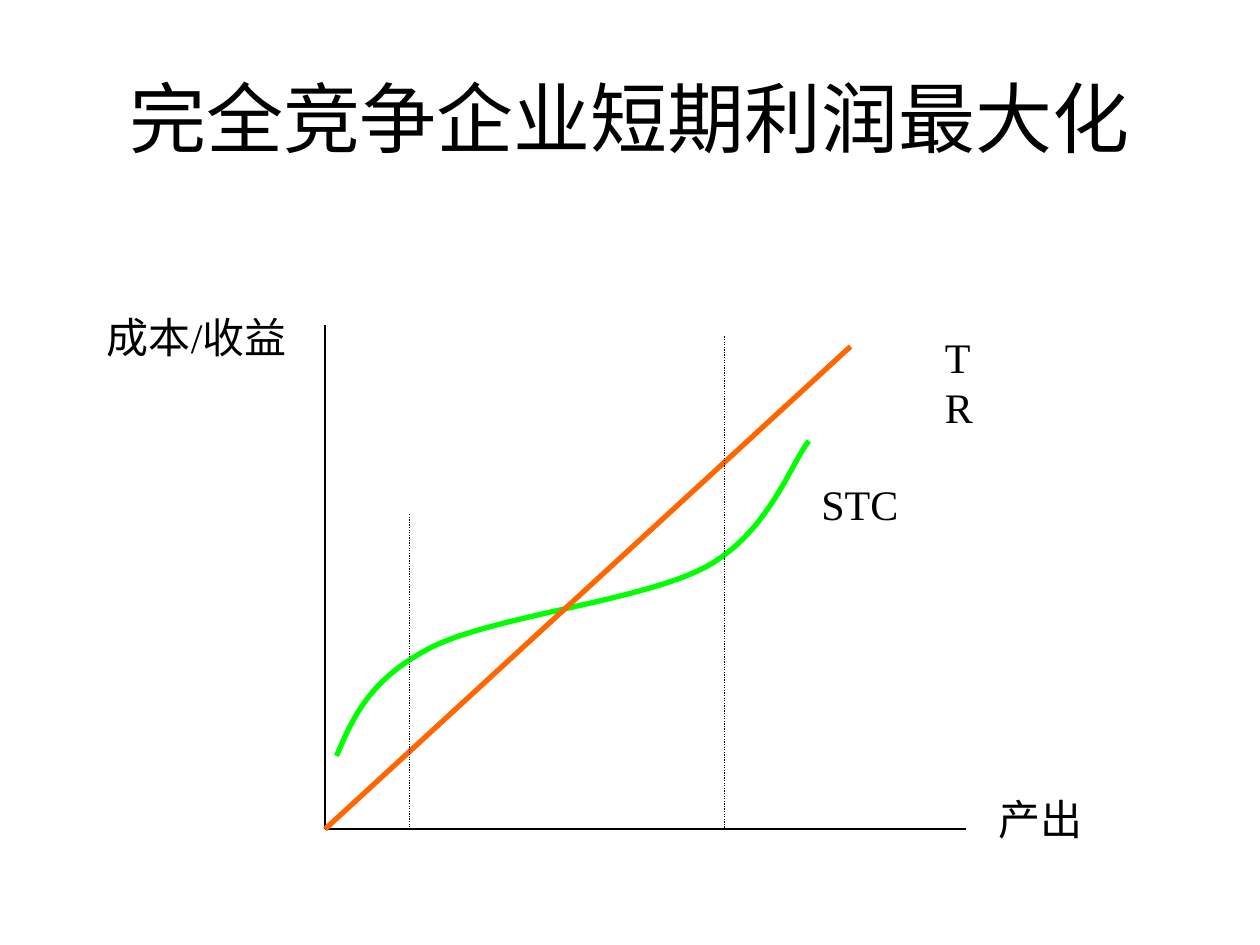
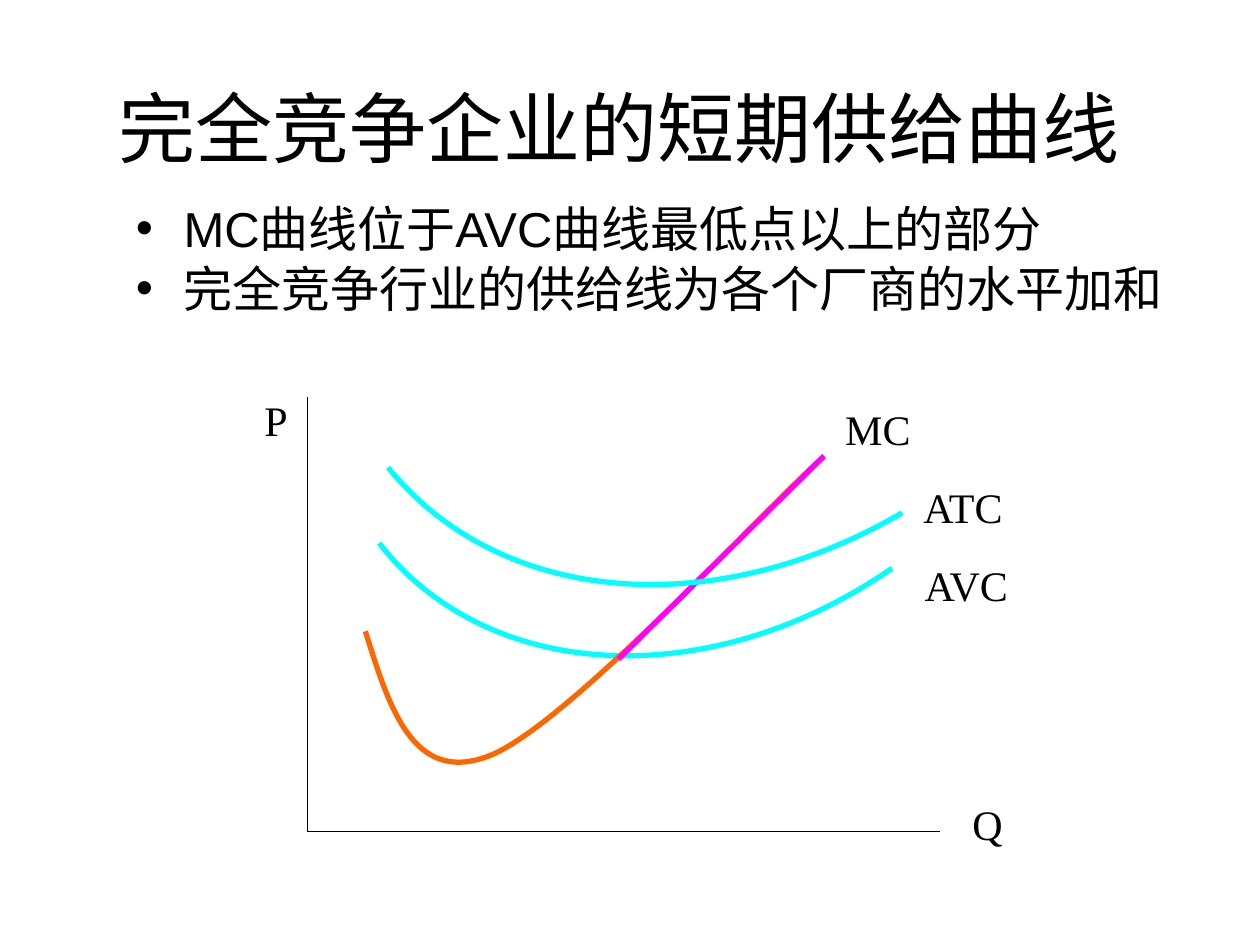
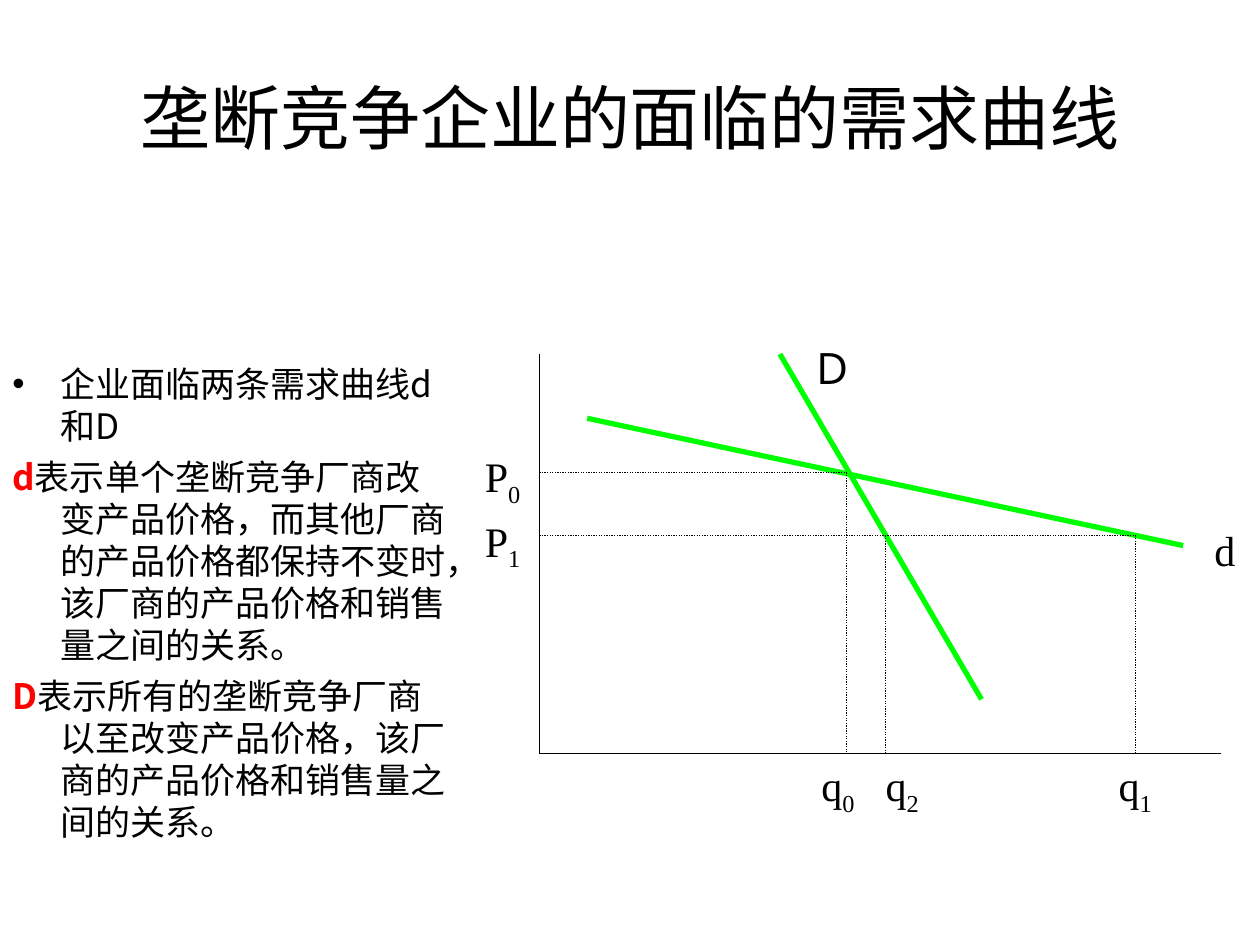
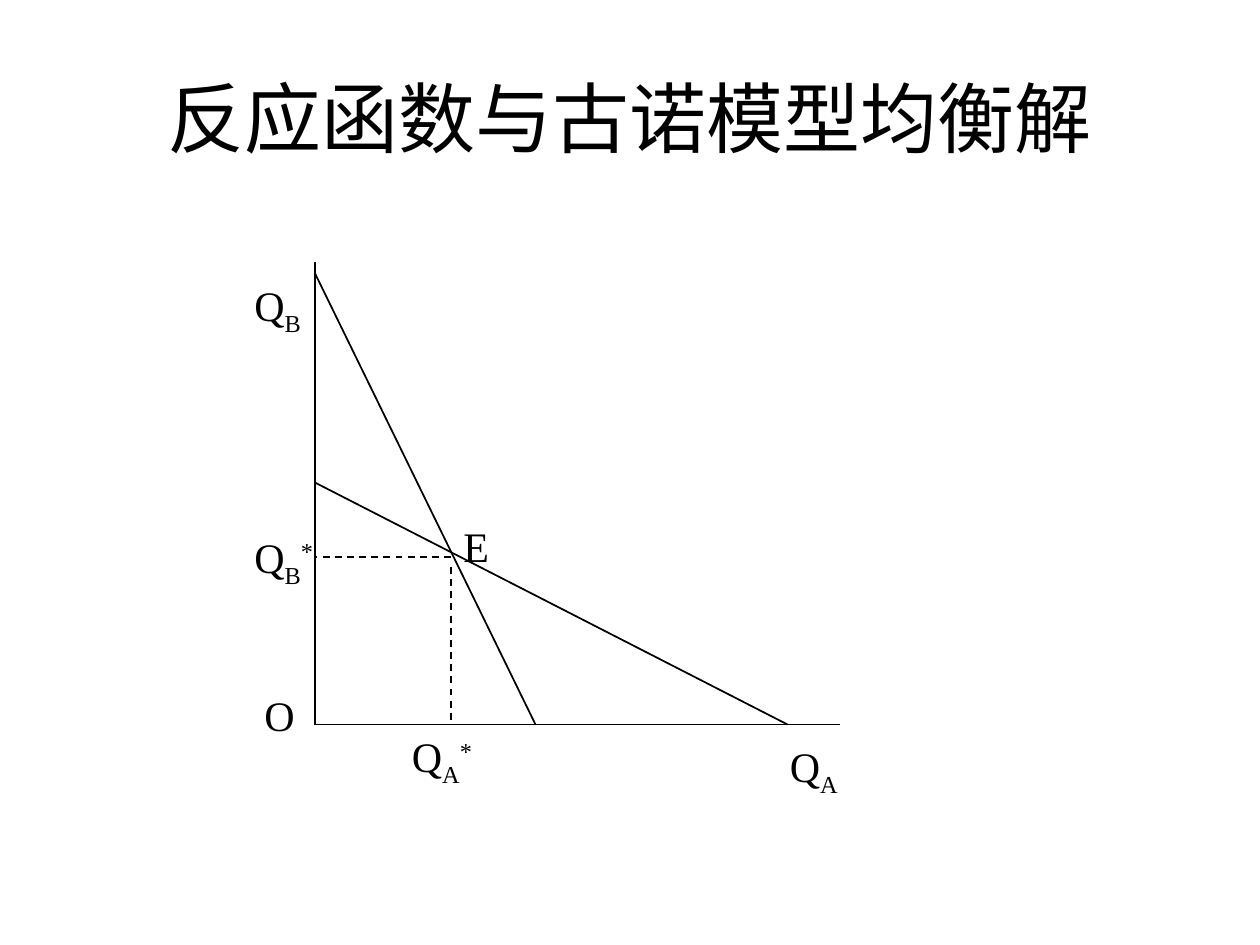
from lxml import etree
from pptx import Presentation
from pptx.dml.color import RGBColor
from pptx.enum import dml, shapes, text
from pptx.oxml import ns
from pptx.util import Inches, Pt

BLACK, RED = "000000", "FF0000"
GREEN, ORANGE, CYAN, PINK = "00FF00", "FF6600", "00FFFF", "FF00FF"
SANS, SERIF, HAN = "Arial", "Times New Roman", "Noto Sans CJK SC"
DOT, DASH = dml.MSO_LINE.ROUND_DOT, dml.MSO_LINE.DASH


def paint(code):
    return RGBColor.from_string(code)


def sub(parent, tag, **attrs):
    return etree.SubElement(parent, ns.qn(tag), attrs)


class Deck:
    """Holds the shared style and the slide being filled."""

    def __init__(self):
        self.file = Presentation()
        self.file.slide_width, self.file.slide_height = Inches(10), Inches(7.5)

    def page(self, title, size=44, at=(0.5, 0.3, 9, 1.25)):
        self.slide = self.file.slides.add_slide(self.file.slide_layouts[5])
        head = self.slide.shapes.title
        head.left, head.top, head.width, head.height = map(Inches, at)
        frame = head.text_frame
        frame.vertical_anchor = text.MSO_ANCHOR.MIDDLE
        frame.auto_size = text.MSO_AUTO_SIZE.NONE
        para = frame.paragraphs[0]
        para.alignment = text.PP_ALIGN.CENTER
        self.run(para, title, size, SANS)

    def run(self, para, words, size, face, color=BLACK, bold=False, base=0):
        """Add one run; base is the raised or lowered share in percent."""
        run = para.add_run()
        run.text = words
        font = run.font
        font.size, font.name, font.bold = Pt(size), face, bold
        font.color.rgb = paint(color)
        props = run._r.get_or_add_rPr()
        sub(props, "a:ea", typeface=HAN)
        if base:
            props.set("baseline", str(base * 1000))

    def frame(self, x, y, wide, high, wrap=True):
        box = self.slide.shapes.add_textbox(*map(Inches, (x, y, wide, high)))
        box.text_frame.word_wrap = wrap
        return box.text_frame

    def label(self, x, y, wide, words, low="", high="", wrap=True):
        """Write a curve or axis label with an optional index and star."""
        frame = self.frame(x, y, wide, 0.56 if low else 0.5, wrap)
        frame.auto_size = text.MSO_AUTO_SIZE.SHAPE_TO_FIT_TEXT
        for part, base in ((words, 0), (low, -25), (high, 30)):
            if part:
                self.run(frame.paragraphs[0], part, 24, SERIF, base=base)

    def body(self, at, size, items, gap, pitch=None):
        """Write hanging paragraphs; items are (bulleted, runs) pairs."""
        frame = self.frame(*at)
        for i, (dot, runs) in enumerate(items):
            para = frame.add_paragraph() if i else frame.paragraphs[0]
            props = para._p.get_or_add_pPr()
            props.set("marL", str(Inches(0.38)))
            props.set("indent", str(Inches(-0.38)))
            if dot:
                sub(sub(props, "a:buClr"), "a:srgbClr", val=BLACK)
                sub(props, "a:buFont", typeface=SANS)
                sub(props, "a:buChar", char="•")
            if pitch:
                para.line_spacing = pitch
            if i:
                para.space_before = Pt(gap)
            for words, face, color in runs:
                self.run(para, words, size, face, color, color == RED)

    def line(self, start, end, color=BLACK, width=0.75, dash=None):
        line = self.slide.shapes.add_connector(
            shapes.MSO_CONNECTOR.STRAIGHT, *map(Inches, (*start, *end)))
        line.line.color.rgb = paint(color)
        line.line.width = Pt(width)
        if dash:
            line.line.dash_style = dash
        sub(line._element.spPr, "a:effectLst")

    def axes(self, left, top, right, base, width=0.75):
        self.line((left, top), (left, base), width=width)
        self.line((left, base), (right, base), width=width)

    def curve(self, color, start, *points):
        """Draw Bezier arcs; each three points are two handles and an end."""
        maker = self.slide.shapes.build_freeform(
            *map(Inches, start), scale=1.0)
        maker.add_line_segments(
            [tuple(map(Inches, point)) for point in points], close=False)
        shape = maker.convert_to_shape()
        shape.shadow.inherit = False
        shape.fill.background()
        shape.line.color.rgb = paint(color)
        shape.line.width = Pt(3)
        track = shape._element.find(".//" + ns.qn("a:path"))
        steps = track.findall(ns.qn("a:lnTo"))
        for i in range(0, len(steps), 3):
            arc = sub(track, "a:cubicBezTo")
            for step in steps[i:i + 3]:
                arc.append(step[0])
                track.remove(step)


def profit(deck):
    deck.page("完全竞争企业短期利润最大化")
    left, base = 2.58, 6.58
    deck.axes(left, 2.58, 7.67, base)
    deck.curve(GREEN, (2.67, 6), (2.8, 5.7), (2.93, 5.39), (3.42, 5.14),
               (3.91, 4.89), (5.1, 4.77), (5.6, 4.5),
               (6.1, 4.23), (6.28, 3.67), (6.42, 3.5))
    deck.label(6.42, 3.75, 0.81, "STC", wrap=False)
    deck.label(7.4, 2.58, 0.62, "TR", wrap=False)
    deck.label(0.75, 2.42, 1.83, "成本/收益")
    deck.label(7.83, 6.25, 1.25, "产出")
    deck.line((6.75, 2.75), (left, base), ORANGE, 3)
    for x, top in ((3.25, 4.08), (5.75, 2.67)):
        deck.line((x, top), (x, base), dash=DOT)


def supply(deck):
    deck.page("完全竞争企业的短期供给曲线", at=(0.67, 0.42, 8.5, 1.17))
    deck.body((0.98, 1.62, 8.5, 5.08), 28, [
        (True, [("MC曲线位于AVC曲线最低点以上的部分", SANS, BLACK)]),
        (True, [("完全竞争行业的供给线为各个厂商的水平加和", SANS, BLACK)]),
    ], gap=7, pitch=0.8)
    deck.axes(2.44, 3.15, 7.46, 6.6)
    deck.curve(CYAN, (7.08, 4.51), (5.65, 5.5), (3.88, 5.43), (3.01, 4.31))
    deck.curve(ORANGE, (2.9, 5.01), (3.09, 5.62), (3.28, 6.23), (3.88, 6),
               (4.49, 5.77), (6.09, 4.02), (6.54, 3.62))
    for x, y, wide, words in ((6.61, 3.15, 0.72, "MC"),
                              (7.23, 3.77, 0.86, "ATC"),
                              (7.24, 4.39, 0.9, "AVC"),
                              (2, 3.08, 0.38, "P"),
                              (7.62, 6.29, 0.44, "Q")):
        deck.label(x, y, wide, words, wrap=False)
    deck.line((6.54, 3.62), (4.91, 5.23), PINK, 3)
    deck.curve(CYAN, (7.16, 4.07), (5.69, 4.93), (3.98, 4.82), (3.08, 3.71))


def demand(deck):
    deck.page("垄断竞争企业的面临的需求曲线", size=40)
    deck.body((0, 2.83, 3.67, 4.5), 20, [
        (True, [("企业面临两条需求曲线", SANS, BLACK), ("d和D", HAN, BLACK)]),
        (False, [("d", HAN, RED),
                 ("表示单个垄断竞争厂商改变产品价格，而其他厂商的产品价格"
                  "都保持不变时，该厂商的产品价格和销售量之间的关系。",
                  HAN, BLACK)]),
        (False, [("D", HAN, RED),
                 ("表示所有的垄断竞争厂商以至改变产品价格，该厂商的产品价格"
                  "和销售量之间的关系。", HAN, BLACK)]),
    ], gap=5)
    left, base = 4.28, 5.98
    high, low = 3.75, 4.25
    deck.axes(left, 2.81, 9.69, base)
    deck.line((4.66, 3.32), (9.39, 4.33), GREEN, 3)
    deck.line((6.19, 2.81), (7.79, 5.55), GREEN, 3)
    for price, end in ((high, 6.72), (low, 9.01)):
        deck.line((left, price), (end, price), dash=DOT)
    for x, price in ((6.72, high), (7.03, low), (9.01, low)):
        deck.line((x, price), (x, base), dash=DOT)
    deck.label(9.54, 4.11, 0.46, "d")
    deck.label(6.34, 2.67, 2.06, "Ｄ")
    for y, mark in ((3.53, "0"), (4.04, "1")):
        deck.label(3.75, y, 0.53, "P", mark)
    for x, mark in ((6.42, "0"), (6.93, "2"), (8.78, "1")):
        deck.label(x, base, 0.63, "q", mark)


def cournot(deck):
    deck.page("反应函数与古诺模型均衡解")
    left, base, best = 2.5, 5.75, 3.58
    deck.axes(left, 2.08, 6.67, base, width=1)
    for top, end in ((3.83, 6.25), (2.17, 4.25)):
        deck.line((left, top), (end, base), width=1)
    deck.line((best, 4.5), (best, base), width=1, dash=DASH)
    deck.line((best, 4.42), (left, 4.42), width=1, dash=DASH)
    deck.label(2, 5.42, 0.75, "O")
    deck.label(best, 4.08, 0.75, "E")
    deck.label(6.17, 5.83, 1.25, "Q", "A")
    deck.label(1.92, 2.17, 0.75, "Q", "B")
    deck.label(1.92, 4.17, 0.75, "Q", "B", "*")
    deck.label(3.17, base, 0.75, "Q", "A", "*")


def main():
    deck = Deck()
    for draw in (profit, supply, demand, cournot):
        draw(deck)
    deck.file.save("out.pptx")


if __name__ == "__main__":
    main()
